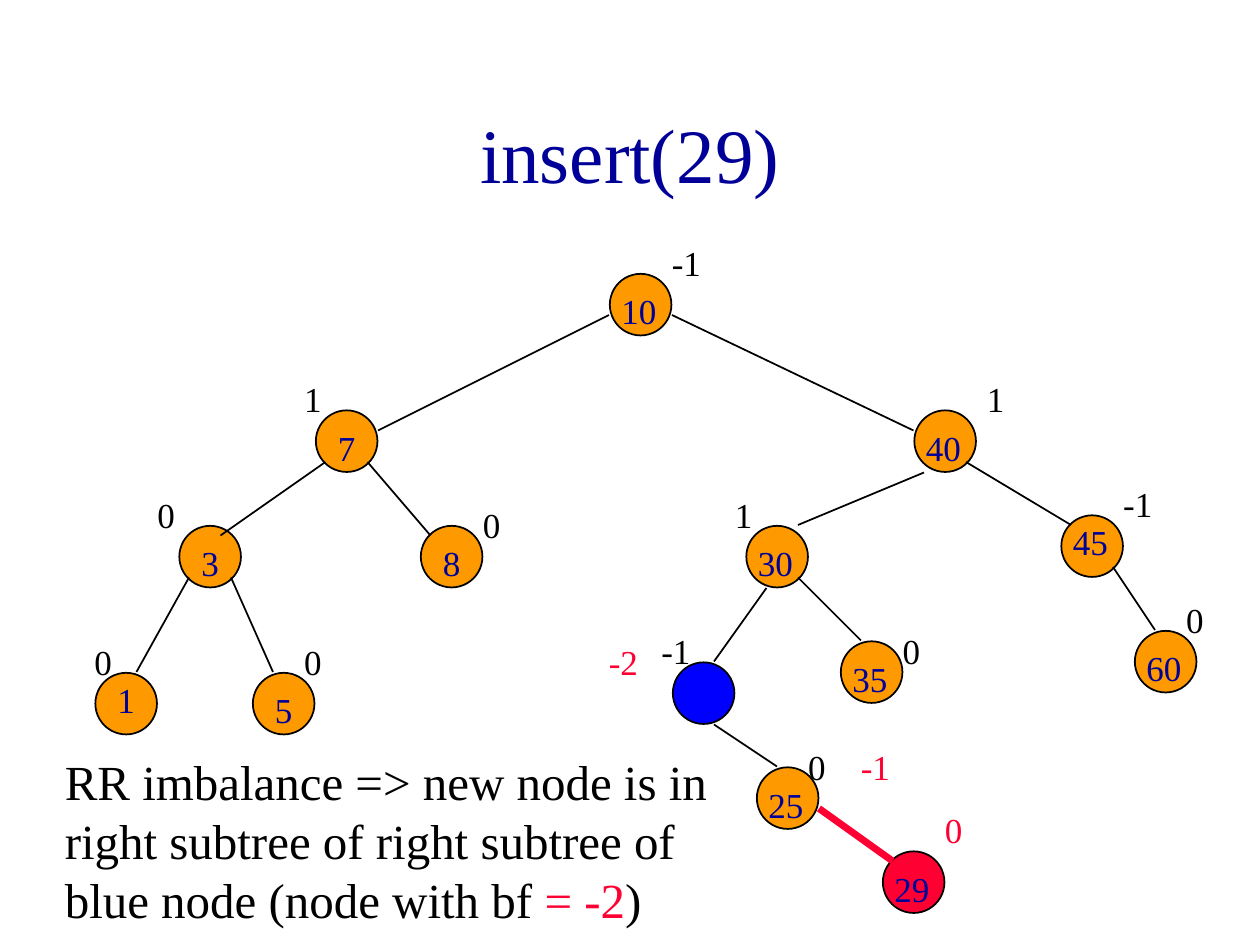
import pptx
import pptx.util
import pptx.dml.color
import pptx.enum.shapes
import pptx.enum.text
import pptx.oxml.ns
import lxml.etree

Pt = pptx.util.Pt
RGBColor = pptx.dml.color.RGBColor
ANCHOR = pptx.enum.text.MSO_ANCHOR
ALIGN = pptx.enum.text.PP_ALIGN
AUTO = pptx.enum.text.MSO_AUTO_SIZE

NAVY = RGBColor(0x00, 0x00, 0x99)
ORANGE = RGBColor(0xFF, 0x99, 0x00)
RED = RGBColor(0xFF, 0x00, 0x33)
BLUE = RGBColor(0x00, 0x00, 0xFF)
BLACK = RGBColor(0x00, 0x00, 0x00)

FONT = "Times New Roman"
DIAMETER = 35.2
KEY_DROP = 6

NODES = [
    ("10", 348, 156, ORANGE), ("7", 180, 234, ORANGE), ("40", 522, 234, ORANGE),
    ("3", 102, 300, ORANGE), ("8", 240, 300, ORANGE), ("30", 426, 300, ORANGE),
    ("1", 54, 384, ORANGE), ("5", 144, 384, ORANGE), ("25", 432, 438, ORANGE),
    ("35", 480, 366, ORANGE), ("45", 606, 294, ORANGE), ("60", 648, 360, ORANGE),
    ("29", 504, 486, RED),
]
RAISED_KEYS = {"1", "45"}
BLUE_NODE = (384, 378)

EDGES = [
    (348, 180, 216, 246), (384, 180, 522, 246), (186, 264, 126, 306),
    (210, 264, 246, 306), (528, 270, 456, 300), (108, 330, 78, 384),
    (132, 330, 156, 384), (438, 336, 408, 378), (408, 414, 444, 438),
    (456, 330, 492, 366), (552, 264, 612, 300), (636, 324, 660, 360),
]
NEW_EDGE = (468, 462, 510, 492)

BALANCES = [
    ("0", 48, 360, BLACK), ("0", 168, 360, BLACK), ("0", 84, 276, BLACK),
    ("0", 270, 282, BLACK), ("1", 168, 210, BLACK), ("0", 456, 420, BLACK),
    ("0", 510, 354, BLACK), ("1", 414, 276, BLACK), ("0", 672, 336, BLACK),
    ("-1", 636, 270, BLACK), ("1", 558, 210, BLACK), ("-1", 378, 132, BLACK),
    ("0", 534, 456, RED), ("-1", 486, 420, RED), ("-1", 372, 354, BLACK),
    ("-2", 342, 360, RED),
]


def set_format(obj, values):
    """Set each attribute of obj from a dict of values."""
    for name, value in values.items():
        setattr(obj, name, value)


def add_text(s, box, runs, size, frame=None, para=None):
    """Add a text box holding one paragraph of (text, colour) runs."""
    tf = s.shapes.add_textbox(*(Pt(v) for v in box)).text_frame
    set_format(tf, {"word_wrap": True, **(frame or {})})
    p = tf.paragraphs[0]
    set_format(p, para or {})
    for text, color in runs:
        r = p.add_run()
        r.text = text
        set_format(r.font, {"name": FONT, "size": Pt(size)})
        r.font.color.rgb = color


def add_node(s, x, y, color):
    """Add a tree node circle at a grid position."""
    oval = pptx.enum.shapes.MSO_SHAPE.OVAL
    sp = s.shapes.add_shape(oval, Pt(x + 0.5), Pt(y + 0.5), Pt(DIAMETER), Pt(DIAMETER))
    sp.shadow.inherit = False
    sp.fill.solid()
    sp.fill.fore_color.rgb = color
    sp.line.color.rgb = BLACK
    sp.line.width = Pt(1)


def add_edge(s, ends, color=BLACK, width=1):
    """Add a straight tree edge."""
    straight = pptx.enum.shapes.MSO_CONNECTOR.STRAIGHT
    cxn = s.shapes.add_connector(straight, *(Pt(v) for v in ends))
    cxn.line.color.rgb = color
    cxn.line.width = Pt(width)
    lxml.etree.SubElement(cxn._element.spPr, pptx.oxml.ns.qn("a:effectLst"))


def add_key(s, key, x, y):
    """Add the key of a node, lone digits moved towards the middle."""
    dx = 6 if len(key) == 1 else 0
    dy = 0 if key in RAISED_KEYS else KEY_DROP
    add_text(s, (x + dx, y + dy, 36, 31), [(key, NAVY)], 20,
             {"auto_size": AUTO.SHAPE_TO_FIT_TEXT})


def add_balance(s, text, x, y, color):
    """Add the balance factor beside a node."""
    width = 24.5 if len(text) == 1 else 31
    add_text(s, (x - 1.2, y + 2.4, width, 31), [(text, color)], 20,
             {"word_wrap": False, "auto_size": AUTO.SHAPE_TO_FIT_TEXT})


def main():
    """Build the slide and save it."""
    prs = pptx.Presentation()
    set_format(prs, {"slide_width": Pt(720), "slide_height": Pt(540)})
    s = prs.slides.add_slide(prs.slide_layouts[6])
    add_text(s, (54, 42, 612, 90), [("insert(29)", NAVY)], 44,
             {"vertical_anchor": ANCHOR.MIDDLE}, {"alignment": ALIGN.CENTER})
    for key, x, y, color in NODES:
        add_node(s, x, y, color)
    for ends in EDGES:
        add_edge(s, ends)
    for key, x, y, color in NODES:
        add_key(s, key, x, y)
    add_edge(s, NEW_EDGE, RED, 4)
    for balance in BALANCES:
        add_balance(s, *balance)
    add_node(s, *BLUE_NODE, BLUE)
    note = [("RR imbalance => new node is in right subtree of right subtree of "
             "blue node (node with bf ", BLACK), ("= -2", RED), (")", BLACK)]
    add_text(s, (30, 426, 390, 108), note, 28, {"auto_size": AUTO.SHAPE_TO_FIT_TEXT})
    prs.save("out.pptx")


if __name__ == "__main__":
    main()
